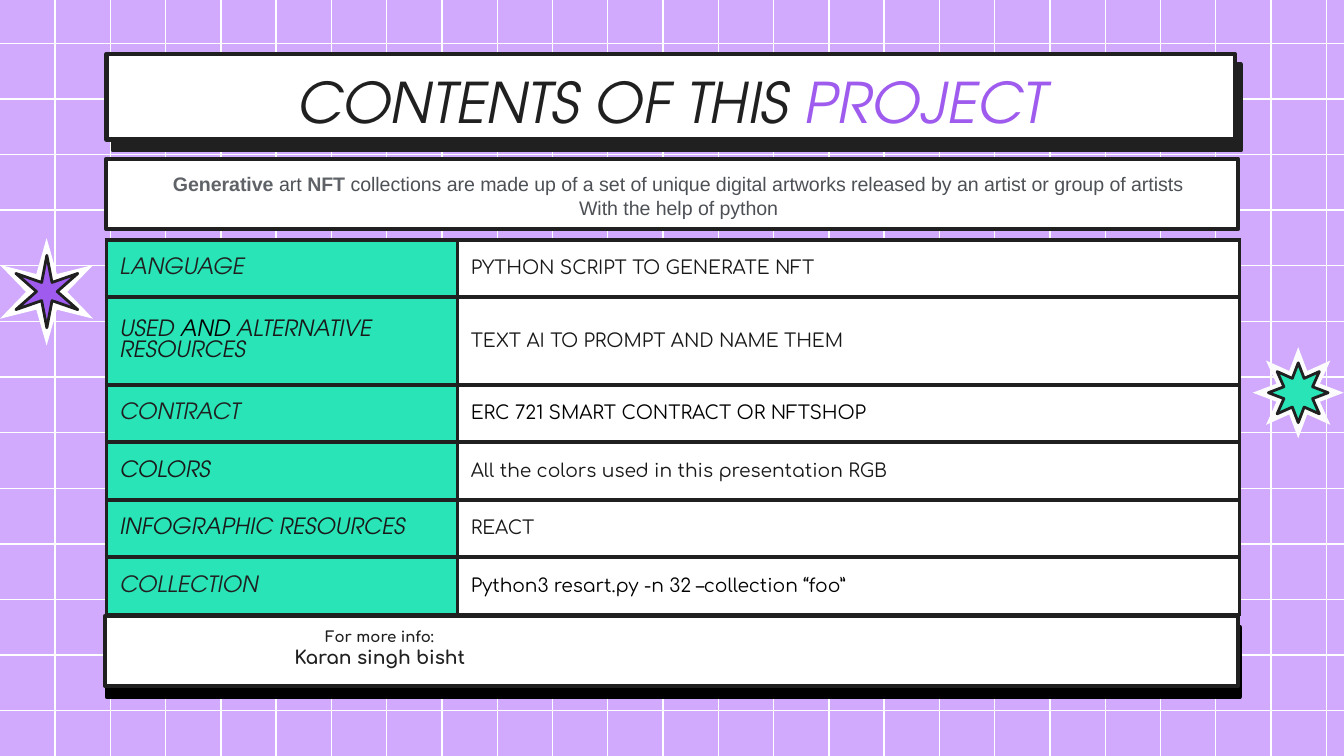
import math
from dataclasses import dataclass

import lxml.etree
import pptx
import pptx.dml.color
import pptx.enum.shapes
import pptx.enum.text
import pptx.oxml.ns
import pptx.util

Pt = pptx.util.Pt
RGBColor = pptx.dml.color.RGBColor
qn = pptx.oxml.ns.qn
SHAPES = pptx.enum.shapes.MSO_SHAPE
ALIGN = pptx.enum.text.PP_ALIGN
ANCHOR = pptx.enum.text.MSO_ANCHOR

LILAC = RGBColor(0xD1, 0xAA, 0xFD)
WHITE = RGBColor(0xFF, 0xFF, 0xFF)
OFF_WHITE = RGBColor(0xFC, 0xFC, 0xFC)
BLACK = RGBColor(0, 0, 0)
INK = RGBColor(0x20, 0x20, 0x20)
DARK = RGBColor(0x19, 0x19, 0x19)
PURPLE = RGBColor(0x9E, 0x5B, 0xEE)
MINT = RGBColor(0x28, 0xE4, 0xB7)
GRAY = RGBColor(0x5F, 0x63, 0x68)
SLATE = RGBColor(0x4D, 0x51, 0x56)
DISPLAY, BODY, PLAIN = "TeX Gyre Adventor", "Comfortaa", "Arial"


@dataclass
class Box:
    left: float
    top: float
    width: float
    height: float


@dataclass
class Span:
    text: str
    size: float
    font: str
    color: RGBColor
    bold: bool = False
    italic: bool = False


@dataclass
class Shadow:
    color: RGBColor
    distance: float
    angle: int


@dataclass
class Row:
    height: float
    label: list[Span]
    value: Span


def heading(text: str, color: RGBColor = INK) -> Span:
    return Span(text, 12, DISPLAY, color, italic=True)


def detail(text: str, color: RGBColor = DARK) -> Span:
    return Span(text, 10, BODY, color)


def add_spans(paragraph, spans: list[Span]) -> None:
    for span in spans:
        run = paragraph.add_run()
        run.text = span.text
        run.font.size = Pt(span.size)
        run.font.name = span.font
        run.font.bold = span.bold
        run.font.italic = span.italic
        run.font.color.rgb = span.color


def prepare_text(shape, right_inset: float = 7.2):
    frame = shape.text_frame
    frame.word_wrap = True
    frame.vertical_anchor = ANCHOR.TOP
    frame.margin_left = frame.margin_top = frame.margin_bottom = Pt(7.2)
    frame.margin_right = Pt(right_inset)
    frame.paragraphs[0].alignment = ALIGN.CENTER
    return frame


def add_text_box(slide, box: Box):
    shape = slide.shapes.add_textbox(Pt(box.left), Pt(box.top), Pt(box.width), Pt(box.height))
    return prepare_text(shape)


def paint(shape, fill: RGBColor, line_width: float) -> None:
    shape.shadow.inherit = False
    shape.fill.solid()
    shape.fill.fore_color.rgb = fill
    if line_width:
        shape.line.color.rgb = INK
        shape.line.width = Pt(line_width)
    else:
        shape.line.fill.background()


def add_preset(slide, kind, box: Box, fill: RGBColor, line_width: float):
    shape = slide.shapes.add_shape(kind, Pt(box.left), Pt(box.top), Pt(box.width), Pt(box.height))
    paint(shape, fill, line_width)
    return shape


def cast_shadow(shape, shadow: Shadow) -> None:
    effects = shape._element.spPr.find(qn("a:effectLst"))
    outer = lxml.etree.SubElement(
        effects, qn("a:outerShdw"), dist=str(Pt(shadow.distance)),
        dir=str(shadow.angle * 60000), algn="bl", rotWithShape="0")
    lxml.etree.SubElement(outer, qn("a:srgbClr"), val=str(shadow.color))


def add_grid_line(slide, x1: float, y1: float, x2: float, y2: float) -> None:
    line = slide.shapes.add_connector(
        pptx.enum.shapes.MSO_CONNECTOR.STRAIGHT, Pt(x1), Pt(y1), Pt(x2), Pt(y2))
    line.line.color.rgb = WHITE
    line.line.width = Pt(0.75)
    lxml.etree.SubElement(line._element.spPr, qn("a:effectLst"))


def add_eight_point_star(slide, center_x: float, center_y: float, outer: float,
                         inner: float, fill: RGBColor, line_width: float) -> None:
    points = []
    for index in range(16):
        radius = inner if index % 2 else outer
        angle = index * math.pi / 8
        points.append((Pt(center_x + radius * math.sin(angle)),
                       Pt(center_y - radius * math.cos(angle))))
    builder = slide.shapes.build_freeform(*points[0], scale=1.0)
    builder.add_line_segments(points[1:], close=True)
    paint(builder.convert_to_shape(), fill, line_width)


def fill_cell(cell, spans: list[Span], fill: RGBColor) -> None:
    cell.fill.solid()
    cell.fill.fore_color.rgb = fill
    cell.vertical_anchor = ANCHOR.MIDDLE
    cell.margin_left = cell.margin_right = Pt(7.2)
    cell.margin_top = cell.margin_bottom = Pt(3.6)
    add_spans(cell.text_frame.paragraphs[0], spans)
    properties = cell._tc.get_or_add_tcPr()
    for index, side in enumerate(("a:lnL", "a:lnR", "a:lnT", "a:lnB")):
        border = lxml.etree.Element(qn(side), w=str(Pt(2.21)))
        solid = lxml.etree.SubElement(border, qn("a:solidFill"))
        lxml.etree.SubElement(solid, qn("a:srgbClr"), val=str(INK))
        properties.insert(index, border)


def add_contents_table(slide, box: Box, columns: list[float], rows: list[Row]) -> None:
    table = slide.shapes.add_table(
        len(rows), len(columns), Pt(box.left), Pt(box.top), Pt(box.width), Pt(box.height)).table
    for column, width in zip(table.columns, columns):
        column.width = Pt(width)
    for index, row in enumerate(rows):
        table.rows[index].height = Pt(row.height)
        fill_cell(table.cell(index, 0), row.label, MINT)
        fill_cell(table.cell(index, 1), [row.value], WHITE)


ROWS = [
    Row(30.8, [heading("LANGUAGE")], detail("PYTHON SCRIPT TO GENERATE NFT")),
    Row(46.9, [heading("USED", DARK), heading(" AND ", BLACK), heading("ALTERNATIVE RESOURCES", DARK)],
        detail("TEXT AI TO PROMPT AND NAME THEM")),
    Row(30.8, [heading("CONTRACT")], detail("ERC 721 SMART CONTRACT OR NFTSHOP", BLACK)),
    Row(30.8, [heading("COLORS", DARK)], detail("All the colors used in this presentation RGB")),
    Row(30.8, [heading("INFOGRAPHIC RESOURCES", DARK)], detail("REACT")),
    Row(30.8, [heading("COLLECTION")], detail("Python3 resart.py -n 32 –collection “foo”", BLACK)),
]


def main() -> None:
    presentation = pptx.Presentation()
    presentation.slide_width, presentation.slide_height = Pt(720), Pt(405)
    slide = presentation.slides.add_slide(presentation.slide_layouts[6])
    slide.background.fill.solid()
    slide.background.fill.fore_color.rgb = LILAC

    for index in range(13):
        y = 23.2 + 29.8 * index
        add_grid_line(slide, 0, y, 720, y)
    for index in range(24):
        x = 29.5 + 29.61 * index
        add_grid_line(slide, x, 0, x, 405)

    banner = add_preset(slide, SHAPES.RECTANGLE, Box(57.1, 28.8, 604.4, 46), WHITE, 2.25)
    cast_shadow(banner, Shadow(INK, 6.7, 60))
    footer = add_preset(slide, SHAPES.ROUNDED_RECTANGLE, Box(56.3, 330, 606.9, 37.5), WHITE, 2.25)
    footer.adjustments[0] = 0
    cast_shadow(footer, Shadow(BLACK, 6, 81))

    title = add_text_box(slide, Box(57.1, 28.8, 606.2, 45.4))
    add_spans(title.paragraphs[0], [
        Span("CONTENTS OF THIS ", 30, DISPLAY, INK, italic=True),
        Span("PROJECT", 30, DISPLAY, PURPLE, italic=True)])

    summary_box = add_preset(slide, SHAPES.RECTANGLE, Box(57, 85, 606.2, 37.8), WHITE, 2.25)
    summary = prepare_text(summary_box, right_inset=0)
    add_spans(summary.paragraphs[0], [
        Span("Generative", 10.5, PLAIN, GRAY, bold=True),
        Span(" art ", 10.5, PLAIN, SLATE),
        Span("NFT", 10.5, PLAIN, GRAY, bold=True),
        Span(" collections are made up of a set of unique digital artworks released"
             " by an artist or group of artists", 10.5, PLAIN, SLATE)])
    second_line = summary.add_paragraph()
    second_line.alignment = ALIGN.CENTER
    add_spans(second_line, [Span("With the help of python", 10.5, PLAIN, SLATE)])

    add_contents_table(slide, Box(57, 128.5, 607, 200.9), [188, 419], ROWS)

    contact = add_text_box(slide, Box(69.1, 329, 268.6, 36)).paragraphs[0]
    add_spans(contact, [Span("For more info:", 8, BODY, INK, bold=True)])
    contact.add_line_break()
    add_spans(contact, [Span("Karan singh bisht", 10, BODY, INK, bold=True)])

    add_eight_point_star(slide, 695.5, 210.4, 24.4, 12.6, OFF_WHITE, 0)
    add_eight_point_star(slide, 695.5, 210.4, 16, 8.3, MINT, 1.5)
    halo = add_preset(slide, SHAPES.STAR_6_POINT, Box(0, 127.6, 50, 57.6), WHITE, 0)
    halo.adjustments[0] = 0.191
    star = add_preset(slide, SHAPES.STAR_6_POINT, Box(8.5, 136.8, 33.2, 38.8), PURPLE, 1.5)
    star.adjustments[0] = 0.145

    presentation.save("out.pptx")


if __name__ == "__main__":
    main()
